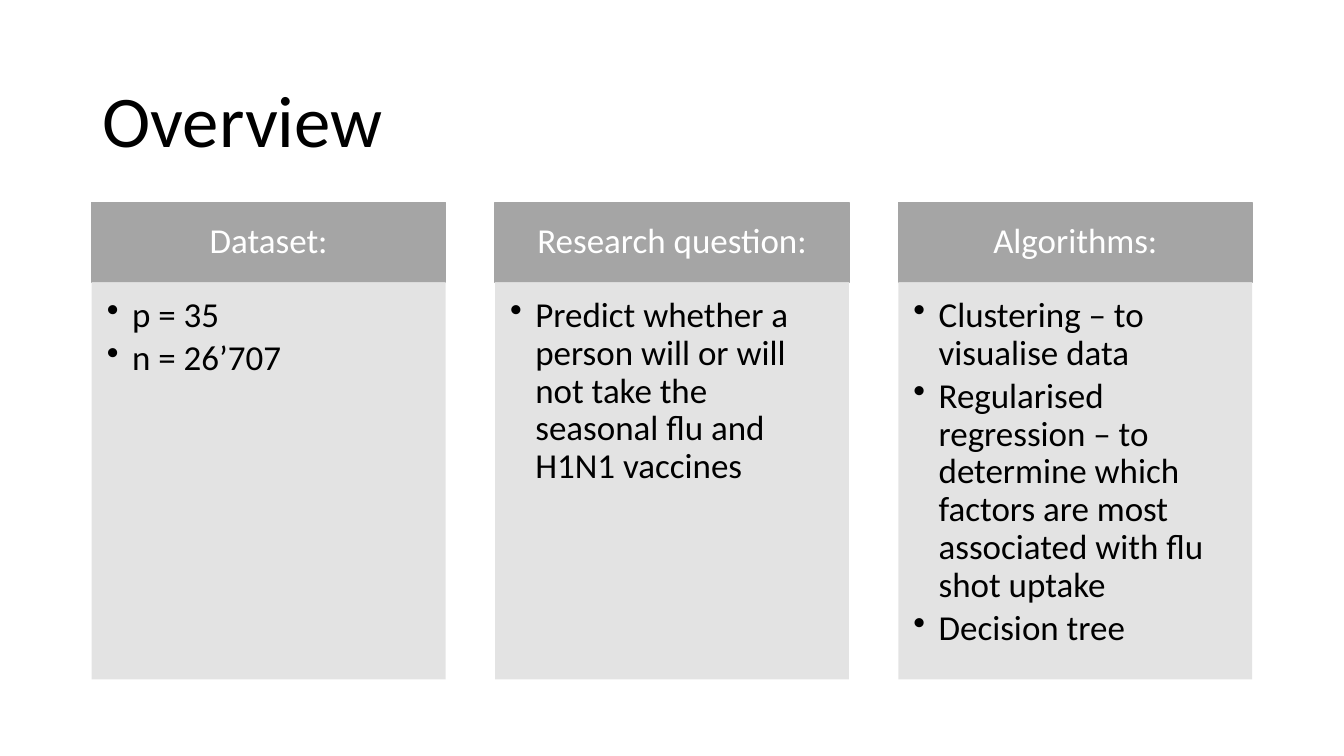
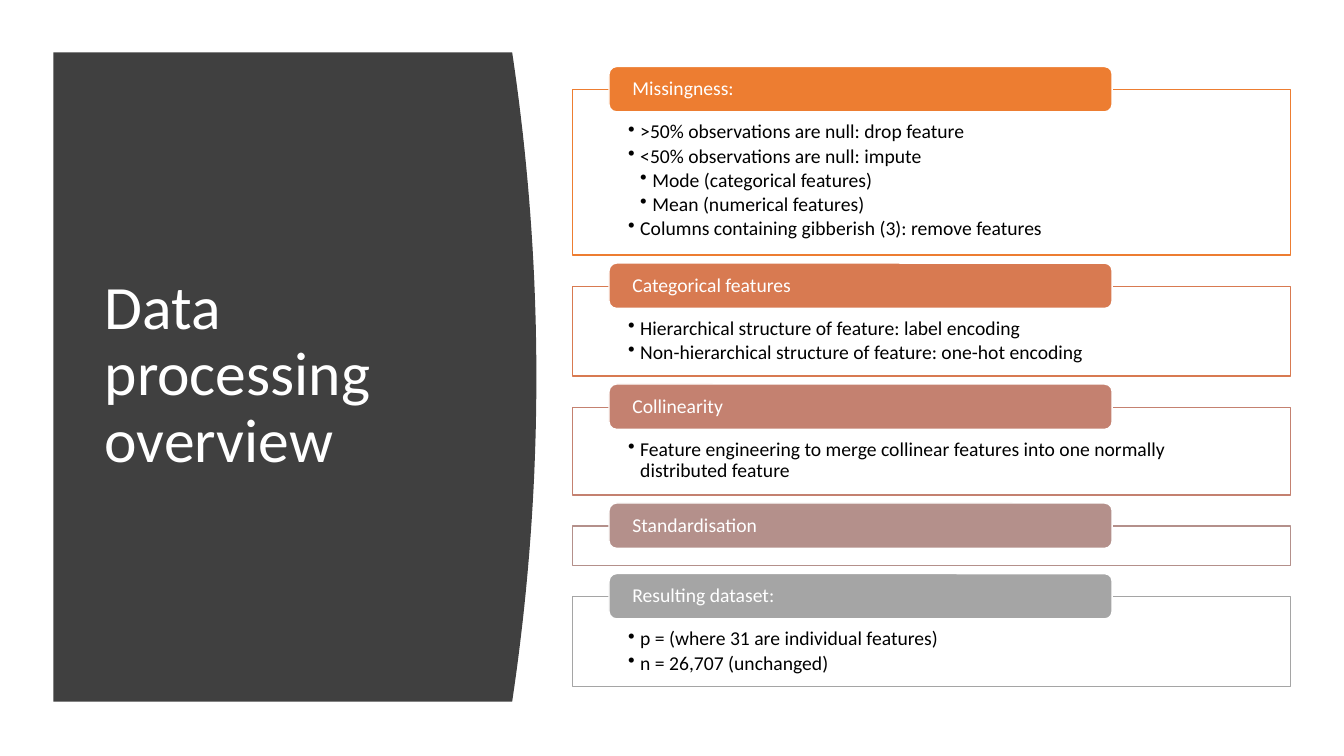
"""Build two slides: a project overview and a summary of the data processing."""
from dataclasses import dataclass

from lxml.etree import SubElement
from pptx import Presentation
from pptx.dml.color import RGBColor
from pptx.enum.shapes import MSO_SHAPE
from pptx.enum.text import MSO_ANCHOR, PP_ALIGN
from pptx.oxml.ns import qn
from pptx.shapes.autoshape import Shape
from pptx.slide import Slide
from pptx.util import Inches, Pt


@dataclass(frozen=True)
class Theme:
    font: str = "Calibri"
    black: str = "000000"
    white: str = "FFFFFF"
    gray: str = "A5A5A5"
    pale: str = "E1E1E1"
    dark: str = "404040"
    title: int = 52
    side: int = 44
    large: int = 25
    small: int = 14
    leading: float = 0.9
    after: float = 0.15
    edge: float = 1
    alpha: int = 90


@dataclass(frozen=True)
class Box:
    left: float
    top: float
    width: float
    height: float


@dataclass(frozen=True)
class Pad:
    left: float = 0.1
    top: float = 0.05
    right: float = 0.1
    bottom: float = 0.05


@dataclass(frozen=True)
class Style:
    size: int
    color: str
    pad: Pad = Pad()
    anchor: MSO_ANCHOR = MSO_ANCHOR.MIDDLE
    align: PP_ALIGN = PP_ALIGN.LEFT
    hang: float = 0


@dataclass(frozen=True)
class Item:
    text: str
    level: int = 0


@dataclass(frozen=True)
class Column:
    head: str
    items: tuple[Item, ...]


@dataclass(frozen=True)
class Step:
    head: str
    color: str
    height: float
    items: tuple[Item, ...] = ()


THEME = Theme()
TITLE = Style(THEME.title, THEME.black)
SIDE = Style(THEME.side, THEME.white)
HEAD = Style(THEME.large, THEME.white, Pad(0.19, 0.11, 0.19, 0.11), align=PP_ALIGN.CENTER)
BODY = Style(THEME.large, THEME.black, Pad(0.15, 0.15, 0.19, 0.22), MSO_ANCHOR.TOP, hang=0.25)
TAG = Style(THEME.small, THEME.white, Pad(0.21, 0, 0.21, 0))
CARD = Style(THEME.small, THEME.black, Pad(0.55, 0.32, 0.55, 0.11), MSO_ANCHOR.TOP, hang=0.12)

COLUMNS = (
    Column("Dataset:", (Item("p = 35"), Item("n = 26’707"))),
    Column("Research question:", (
        Item("Predict whether a person will or will not take the seasonal flu and H1N1 vaccines"),
    )),
    Column("Algorithms:", (
        Item("Clustering – to visualise data"),
        Item("Regularised regression – to determine which factors are most "
             "associated with flu shot uptake"),
        Item("Decision tree"),
    )),
)

STEPS = (
    Step("Missingness:", "ED7D31", 1.64, (
        Item(">50% observations are null: drop feature"),
        Item("<50% observations are null: impute"),
        Item("Mode (categorical features)", 1),
        Item("Mean (numerical features)", 1),
        Item("Columns containing gibberish (3): remove features"),
    )),
    Step("Categorical features", "D87A51", 0.89, (
        Item("Hierarchical structure of feature: label encoding"),
        Item("Non-hierarchical structure of feature: one-hot encoding"),
    )),
    Step("Collinearity", "C48170", 0.87, (
        Item("Feature engineering to merge collinear features into one normally "
             "distributed feature"),
    )),
    Step("Standardisation", "B4908B", 0.39),
    Step("Resulting dataset:", THEME.gray, 0.89, (
        Item("p = (where 31 are individual features)"),
        Item("n = 26,707 (unchanged)"),
    )),
)


def write(shape: Shape, items: tuple[Item, ...], style: Style) -> None:
    frame, pad = shape.text_frame, style.pad
    frame.word_wrap = True
    frame.vertical_anchor = style.anchor
    frame.margin_left, frame.margin_top = Inches(pad.left), Inches(pad.top)
    frame.margin_right, frame.margin_bottom = Inches(pad.right), Inches(pad.bottom)
    for index, item in enumerate(items):
        para = frame.add_paragraph() if index else frame.paragraphs[0]
        para.text = item.text
        para.alignment = style.align
        para.line_spacing = THEME.leading
        if style.hang:
            para.level = item.level
            para.space_after = Pt(style.size * THEME.after)
            props = para._p.get_or_add_pPr()
            props.set("marL", str(Inches(style.hang * (item.level + 1))))
            props.set("indent", str(-Inches(style.hang)))
            SubElement(props, qn("a:buChar")).set("char", "•")
        font = para.font
        font.name, font.size = THEME.font, Pt(style.size)
        font.color.rgb = RGBColor.from_string(style.color)


def paint(shape: Shape, fill: str, line: str | None = None, alpha: int = 100) -> None:
    shape.shadow.inherit = False
    shape.fill.solid()
    shape.fill.fore_color.rgb = RGBColor.from_string(fill)
    if alpha < 100:
        tint = shape.element.spPr.find(qn("a:solidFill")).find(qn("a:srgbClr"))
        SubElement(tint, qn("a:alpha")).set("val", str(alpha * 1000))
    if line:
        shape.line.color.rgb = RGBColor.from_string(line)
        shape.line.width = Pt(THEME.edge)
    else:
        shape.line.fill.background()


def panel(slide: Slide, box: Box, fill: str, line: str, alpha: int = 100,
          kind: MSO_SHAPE = MSO_SHAPE.RECTANGLE) -> Shape:
    shape = slide.shapes.add_shape(kind, Inches(box.left), Inches(box.top),
                                   Inches(box.width), Inches(box.height))
    paint(shape, fill, line, alpha)
    return shape


def title(slide: Slide, text: str, box: Box, style: Style) -> None:
    shape = slide.shapes.add_textbox(Inches(box.left), Inches(box.top),
                                     Inches(box.width), Inches(box.height))
    write(shape, (Item(text),), style)


def column(slide: Slide, left: float, col: Column) -> None:
    top, width, head, body = 2.01, 3.51, 0.79, 3.94
    bar = panel(slide, Box(left, top, width, head), THEME.gray, THEME.gray)
    write(bar, (Item(col.head),), HEAD)
    area = panel(slide, Box(left, top + head, width, body), THEME.pale, THEME.pale, THEME.alpha)
    area.line.fill.background()
    write(area, col.items, BODY)


def step(slide: Slide, top: float, part: Step) -> None:
    card = panel(slide, Box(5.68, top, 7.12, part.height), THEME.white, part.color, THEME.alpha)
    if part.items:
        write(card, part.items, CARD)
    tag = panel(slide, Box(6.04, top - 0.23, 4.99, 0.45), part.color, THEME.white,
                kind=MSO_SHAPE.ROUNDED_RECTANGLE)
    write(tag, (Item(part.head),), TAG)


def curve(slide: Slide) -> None:
    left, right, top, bottom, bulge, count = 0.53, 5.08, 0.52, 6.96, 0.24, 40
    points = [(Inches(right), Inches(top))]
    for index in range(1, count + 1):
        ratio = index / count
        points.append((Inches(right + bulge * 4 * ratio * (1 - ratio)),
                       Inches(top + (bottom - top) * ratio)))
    points.append((Inches(left), Inches(bottom)))
    outline = slide.shapes.build_freeform(Inches(left), Inches(top))
    outline.add_line_segments(points, close=True)
    paint(outline.convert_to_shape(), THEME.dark)


def overview(slide: Slide) -> None:
    title(slide, "Overview", Box(0.92, 0.61, 11.5, 1.24), TITLE)
    for index, col in enumerate(COLUMNS):
        column(slide, 0.91 + 4 * index, col)


def process(slide: Slide) -> None:
    curve(slide)
    title(slide, "Data processing overview", Box(0.94, 1.11, 3.74, 5.24), SIDE)
    top, gap = 0.89, 0.31
    for part in STEPS:
        step(slide, top, part)
        top += part.height + gap


def main() -> None:
    deck = Presentation()
    deck.slide_width, deck.slide_height = Inches(13.33), Inches(7.5)
    for draw in (overview, process):
        draw(deck.slides.add_slide(deck.slide_layouts[6]))
    deck.save("out.pptx")


main()
